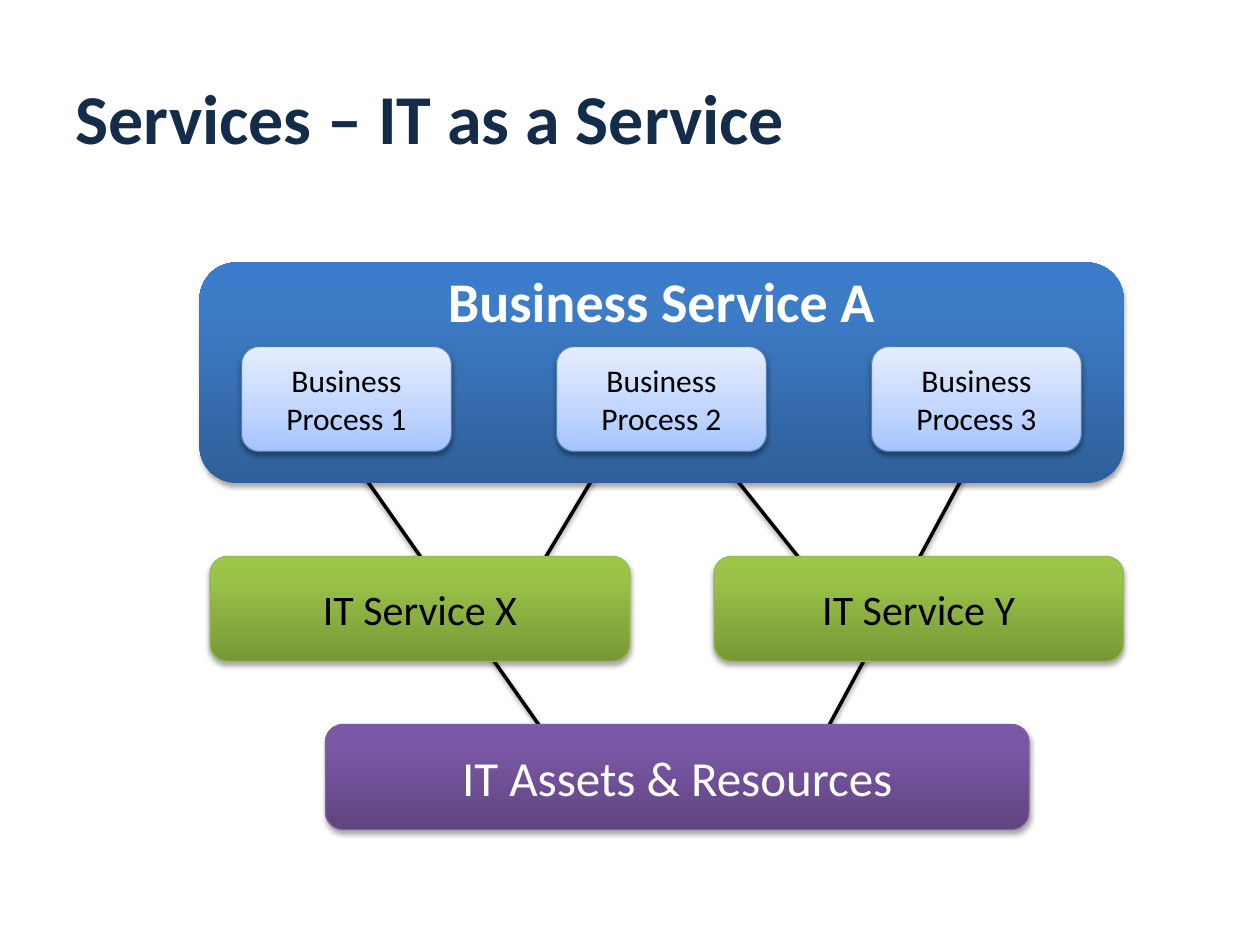
from pptx import Presentation, util as u
from pptx.dml.color import RGBColor
from pptx.enum import shapes, text
from pptx.oxml import parse_xml
from pptx.oxml.ns import nsdecls

COLUMNS, ROWS = 120, 90
FONT = "Calibri"
NAVY = RGBColor(0x13, 0x2C, 0x4A)
WHITE = RGBColor(0xFF, 0xFF, 0xFF)
BLACK = RGBColor(0x00, 0x00, 0x00)
GREEN_EDGE = RGBColor(0x98, 0xB9, 0x55)
PURPLE_EDGE = RGBColor(0x7D, 0x60, 0xA0)
BLUE_EDGE = RGBColor(0x4B, 0x7E, 0xBC)


def stops(*pairs):
    return [(percent, RGBColor.from_string(color)) for percent, color in pairs]


# Gradients run from the bottom edge to the top edge
BLUE = stops((0, "2F5F99"), (80, "3D7CC7"), (100, "3A7CCB"))
GREEN = stops((0, "779737"), (80, "9BC348"), (100, "9DC746"))
PURPLE = stops((0, "5F4480"), (80, "7B58A6"), (100, "7C57A8"))
PALE = stops((0, "A4C4FF"), (35, "BFD4FF"), (100, "E6EEFF"))

deck = Presentation()
deck.slide_width, deck.slide_height = u.Inches(10), u.Inches(7.5)


def across(columns):
    return round(deck.slide_width * columns / COLUMNS)


def down(rows):
    return round(deck.slide_height * rows / ROWS)


def place(left, top, width, height):
    return across(left), down(top), across(width), down(height)


def write(frame, words, size, color=BLACK, bold=False, align=text.PP_ALIGN.CENTER):
    frame.word_wrap = True
    frame.vertical_anchor = text.MSO_ANCHOR.MIDDLE
    para = frame.paragraphs[0]
    para.alignment = align
    span = para.add_run()
    span.text = words
    font = span.font
    font.name, font.size, font.bold = FONT, u.Pt(size), bold
    font.color.rgb = color


def add_shadow(shape, alpha=38, distance=1.6):
    shape._element.spPr.append(parse_xml(
        f'<a:effectLst {nsdecls("a")}><a:outerShdw blurRad="{u.Pt(3.1)}" '
        f'dist="{u.Pt(distance)}" dir="5400000" rotWithShape="0">'
        f'<a:srgbClr val="{BLACK}"><a:alpha val="{alpha * 1000}"/></a:srgbClr>'
        '</a:outerShdw></a:effectLst>'))


def fill_gradient(shape, gradient):
    shape.fill.gradient()
    shape.fill.gradient_angle = 90
    stop_list = shape._element.spPr.find(".//{*}gsLst")
    for old in list(stop_list):
        stop_list.remove(old)
    for percent, color in gradient:
        stop_list.append(parse_xml(
            f'<a:gs {nsdecls("a")} pos="{percent * 1000}">'
            f'<a:srgbClr val="{color}"/></a:gs>'))


def add_block(page, box, words, gradient, size, edge=None, alpha=35, distance=1.8, **style):
    block = page.shapes.add_shape(shapes.MSO_SHAPE.ROUNDED_RECTANGLE, *place(*box))
    fill_gradient(block, gradient)
    if edge is None:
        block.line.fill.background()
    else:
        block.line.color.rgb = edge
        block.line.width = u.Pt(0.75)
    add_shadow(block, alpha, distance)
    write(block.text_frame, words, size, **style)
    return block


def add_title(page, box, words):
    title = page.shapes.title
    title.left, title.top, title.width, title.height = place(*box)
    write(title.text_frame, words, 40, color=NAVY, bold=True, align=text.PP_ALIGN.LEFT)


def add_links(page, links):
    for x1, y1, x2, y2 in links:
        link = page.shapes.add_connector(
            shapes.MSO_CONNECTOR.STRAIGHT, across(x1), down(y1), across(x2), down(y2))
        link.line.color.rgb = BLACK
        link.line.width = u.Pt(2)
        add_shadow(link)


def add_business_service(page, box):
    left, top, width, height = box
    panel = add_block(page, box, "Business Service A", BLUE, 32, color=WHITE, bold=True)
    # Hold the heading in the top third of the panel
    panel.text_frame.margin_top = 0
    panel.text_frame.margin_bottom = down(height * 0.66)
    # Three equally spaced processes, centred in the panel
    process, step = 20, 30
    first = left + (width - process - 2 * step) / 2
    for index in range(3):
        add_block(page, (first + index * step, top + 8, process, 10),
                  f"Business Process {index + 1}", PALE, 18,
                  edge=BLUE_EDGE, alpha=38, distance=1.6)


def add_it_services(page, box):
    left, top, width, height = box
    add_block(page, (left, top, 40, height), "IT Service X", GREEN, 24, edge=GREEN_EDGE)
    add_block(page, (left + width - 39, top, 39, height), "IT Service Y", GREEN, 24,
              edge=GREEN_EDGE)


def main():
    page = deck.slides.add_slide(deck.slide_layouts[5])
    add_title(page, (6, 3.6, 108, 15), "Services – IT as a Service")
    # Links lie behind the blocks
    add_links(page, [(93, 43, 79, 69), (33, 43, 52, 70),
                     (68, 43, 76, 53), (58, 43, 52, 53)])
    add_business_service(page, (19, 25, 88, 21))
    add_it_services(page, (20, 53, 87, 10))
    add_block(page, (31, 69, 67, 10), "IT Assets & Resources", PURPLE, 28,
              edge=PURPLE_EDGE, color=WHITE)
    deck.save("out.pptx")


if __name__ == "__main__":
    main()
